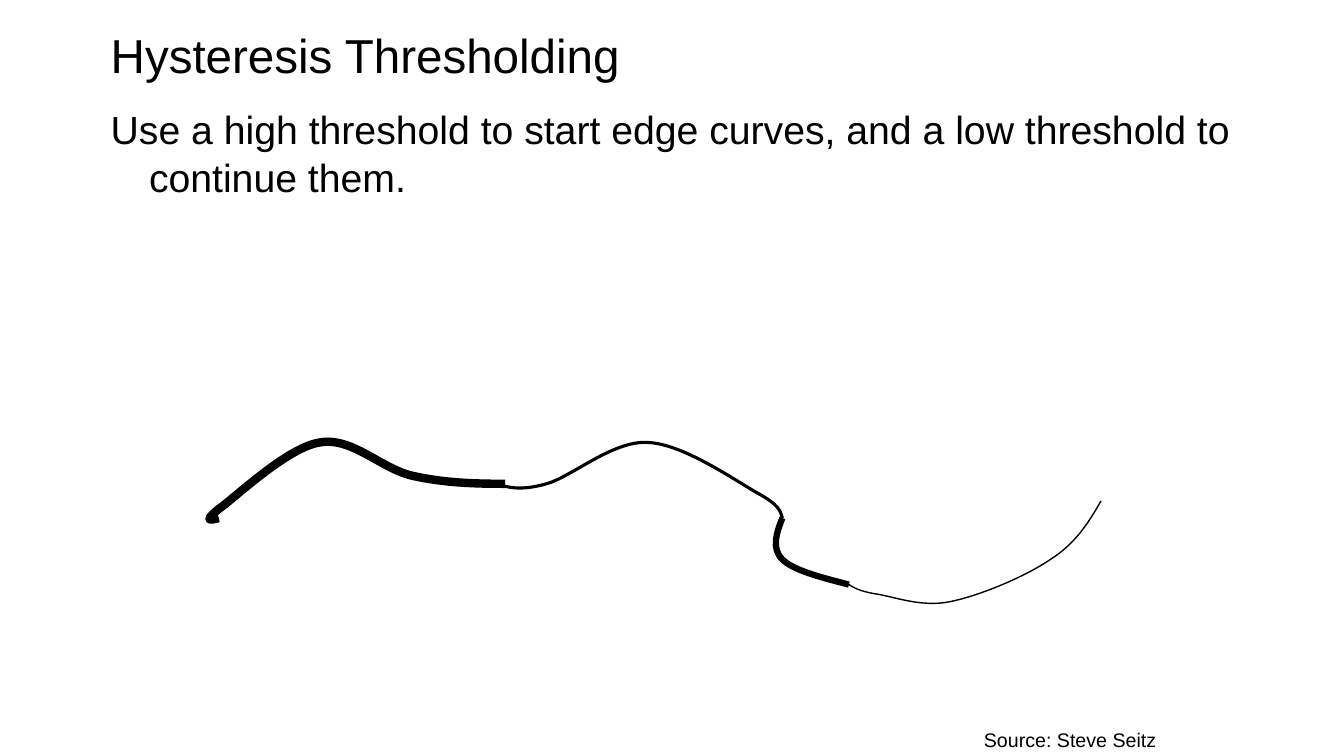
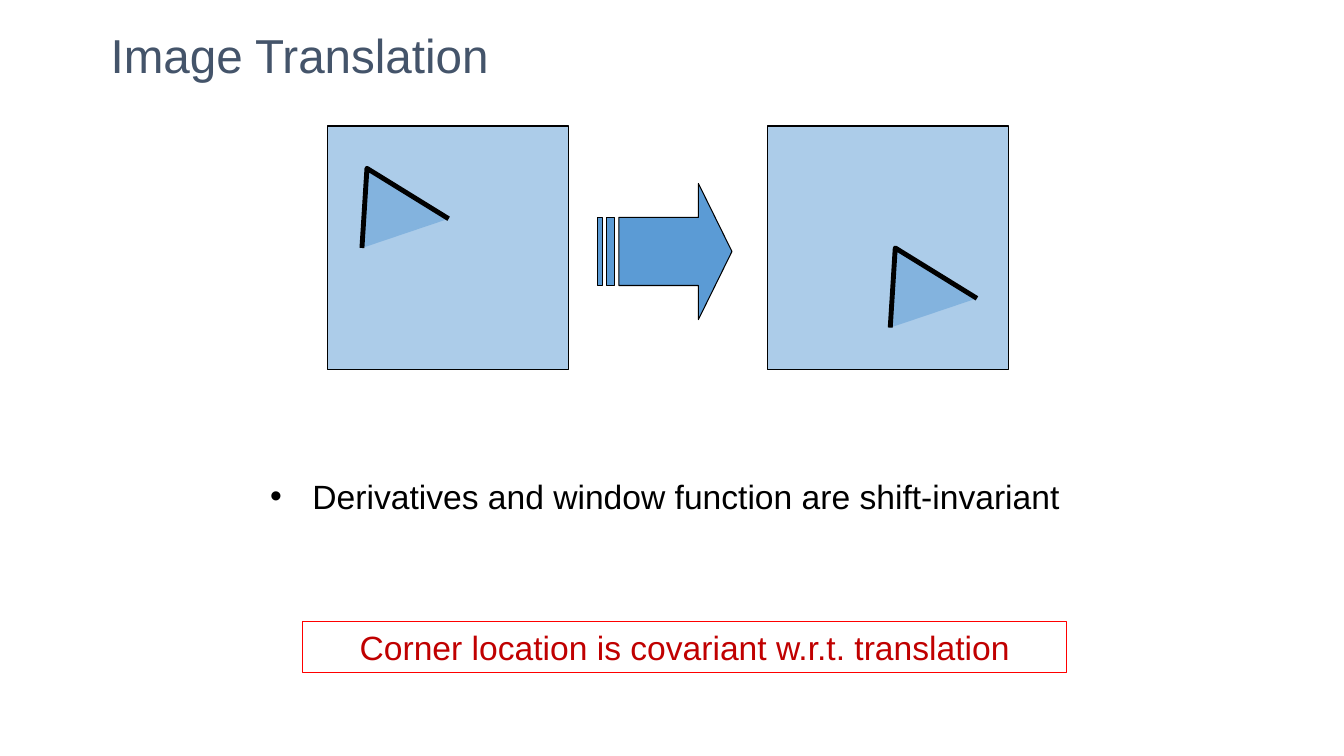
from pptx import Presentation
from pptx.dml.color import RGBColor
from pptx.enum import shapes, text
from pptx.oxml import ns, xmlchemy
from pptx.util import Inches, Pt

BLACK = RGBColor(0x00, 0x00, 0x00)
SLATE = RGBColor(0x44, 0x54, 0x6A)
BLUE = RGBColor(0x5B, 0x9B, 0xD5)
RED = RGBColor(0xFF, 0x00, 0x00)
DARK = RGBColor(0xC0, 0x00, 0x00)
FONT = "Arial"

TITLES = [("Hysteresis Thresholding", BLACK), ("Image Translation", SLATE)]
RULE = "Use a high threshold to start edge curves, and a low threshold to continue them."
SOURCE = "Source: Steve Seitz"
POINT = "Derivatives and window function are shift-invariant"
CLAIM = "Corner location is covariant w.r.t. translation"

CURVES = [
    (6, [(2.17, 5.14), (2.09, 5.16), (2.01, 5.18), (2.17, 5.05),
         (2.34, 4.93), (2.85, 4.44), (3.17, 4.39),
         (3.49, 4.33), (3.78, 4.65), (4.09, 4.72),
         (4.4, 4.79), (4.7, 4.8), (5.01, 4.8)]),
    (2.25, [(4.92, 4.8), (5.05, 4.84), (5.17, 4.87), (5.42, 4.8),
            (5.67, 4.73), (6.08, 4.37), (6.42, 4.39),
            (6.77, 4.4), (7.28, 4.76), (7.51, 4.89),
            (7.73, 5.01), (7.74, 5.07), (7.76, 5.14)]),
    (4.5, [(7.76, 5.14), (7.7, 5.29), (7.65, 5.44), (7.76, 5.55),
           (7.87, 5.66), (8.15, 5.73), (8.42, 5.8)]),
    (1, [(8.42, 5.8), (8.47, 5.83), (8.51, 5.86), (8.67, 5.89),
         (8.84, 5.91), (9.13, 6.03), (9.42, 5.97),
         (9.72, 5.91), (10.17, 5.72), (10.42, 5.55),
         (10.67, 5.39), (10.8, 5.18), (10.92, 4.97)]),
]
FRAMES = [(3.25, (3.59, 1.67)), (7.61, (8.83, 2.46))]
CORNER = [(0, 0.79), (0.05, 0), (0.86, 0.5)]


def child(parent, tag, **attrs):
    node = xmlchemy.OxmlElement(tag)
    for key, value in attrs.items():
        node.set(key, value)
    parent.append(node)
    return node


def write(shape, words, size, color):
    frame = shape.text_frame
    frame.word_wrap = True
    para = frame.paragraphs[0]
    run = para.add_run()
    run.text = words
    run.font.name = FONT
    run.font.size = Pt(size)
    run.font.color.rgb = color
    return para


def label(slide, box, words, size, color=BLACK):
    shape = slide.shapes.add_textbox(*map(Inches, box))
    return shape, write(shape, words, size, color)


def hang(para, depth, bullet=None):
    props = para._p.get_or_add_pPr()
    props.set("marL", str(Inches(depth)))
    props.set("indent", str(-Inches(depth)))
    if bullet:
        child(props, "a:buFont", typeface=FONT)
        child(props, "a:buChar", char=bullet)


def style(shape, fill, line, width, alpha=None):
    shape.shadow.inherit = False
    if fill is None:
        shape.fill.background()
    else:
        shape.fill.solid()
        shape.fill.fore_color.rgb = fill
    if alpha:
        tone = shape._element.spPr.find(ns.qn("a:solidFill"))[0]
        child(tone, "a:alpha", val=str(alpha * 1000))
    shape.line.color.rgb = line
    shape.line.width = Pt(width)
    return shape


def preset(slide, kind, box, *look):
    return style(slide.shapes.add_shape(kind, *map(Inches, box)), *look)


def outline(slide, points):
    spots = [(Inches(x), Inches(y)) for x, y in points]
    pen = slide.shapes.build_freeform(*spots[0])
    pen.add_line_segments(spots[1:], close=False)
    return pen.convert_to_shape()


def bend(shape):
    track = next(shape._element.iter(ns.qn("a:path")))
    steps = track.findall(ns.qn("a:lnTo"))
    for i in range(0, len(steps), 3):
        curve = child(track, "a:cubicBezTo")
        for step in steps[i:i + 3]:
            curve.append(step[0])
            track.remove(step)


def begin(deck, title, color):
    slide = deck.slides.add_slide(deck.slide_layouts[6])
    head, _ = label(slide, (1, 0.08, 11.33, 0.92), title, 34, color)
    head.text_frame.vertical_anchor = text.MSO_ANCHOR.MIDDLE
    return slide


def edges(slide):
    _, para = label(slide, (1, 1, 11.33, 5.75), RULE, 28)
    hang(para, 0.38)
    for width, points in CURVES:
        curve = outline(slide, points)
        bend(curve)
        style(curve, None, BLACK, width)
    label(slide, (9.66, 7.17, 3.09, 0.34), SOURCE, 14)


def shift(slide):
    kinds = shapes.MSO_SHAPE
    _, para = label(slide, (2.58, 4.67, 8.42, 0.5), POINT, 24)
    hang(para, 0.42, "•")
    for left, (x, y) in FRAMES:
        preset(slide, kinds.RECTANGLE, (left, 1.25, 2.39, 2.42), BLUE, BLACK, 0.75, 50)
        corner = outline(slide, [(x + dx, y + dy) for dx, dy in CORNER])
        style(corner, BLUE, BLACK, 3.5, 50)
    arrow = preset(slide, kinds.STRIPED_RIGHT_ARROW, (5.93, 1.82, 1.33, 1.35),
                   BLUE, BLACK, 0.75)
    arrow.adjustments[1] = 0.25
    claim = preset(slide, kinds.RECTANGLE, (3, 6.17, 7.58, 0.5), None, RED, 0.75)
    write(claim, CLAIM, 24, DARK).alignment = text.PP_ALIGN.CENTER


def main():
    deck = Presentation()
    deck.slide_width, deck.slide_height = Inches(13.33), Inches(7.5)
    for (title, color), fill in zip(TITLES, (edges, shift)):
        fill(begin(deck, title, color))
    deck.save("out.pptx")


if __name__ == "__main__":
    main()
